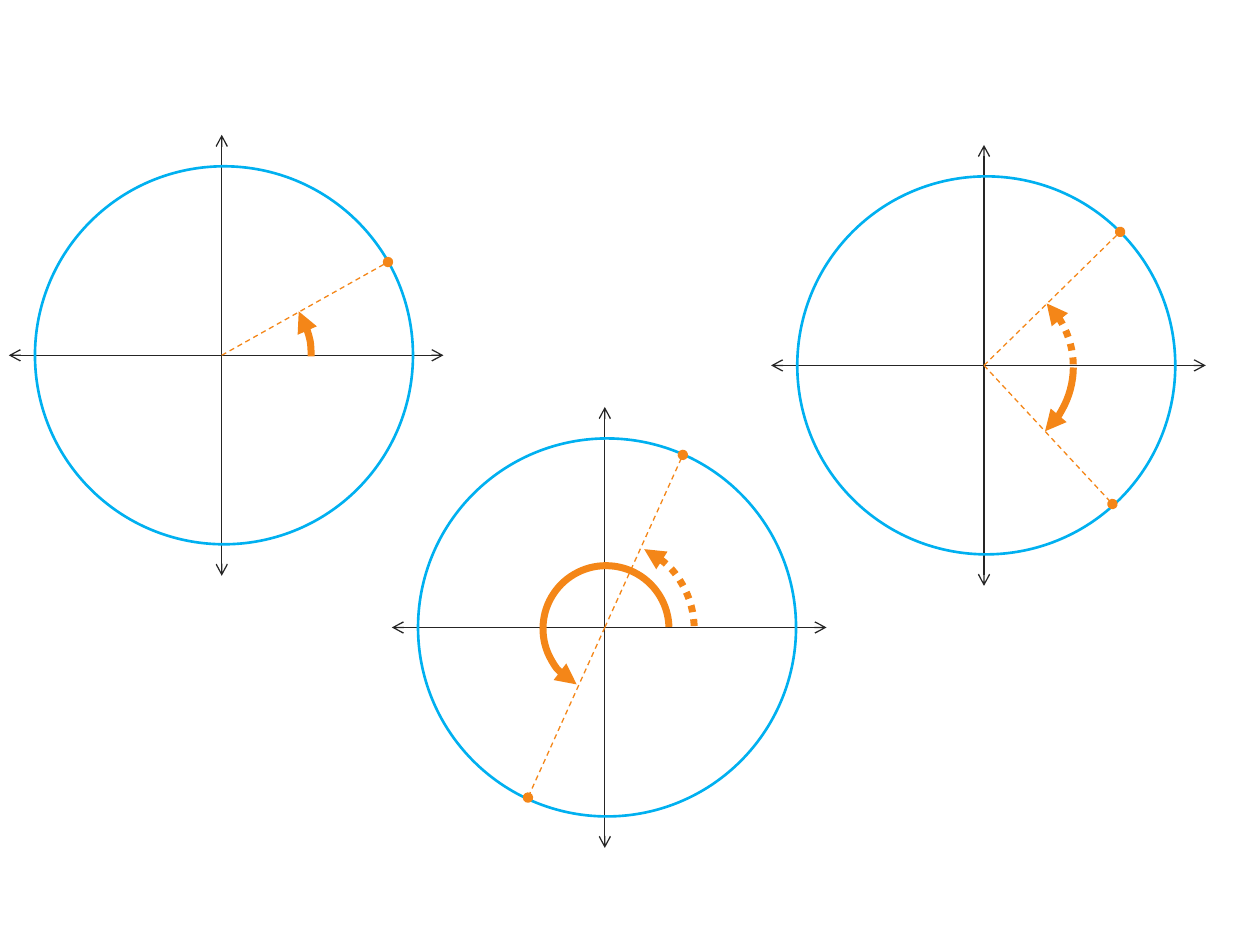
import pptx
import pptx.dml.color
import pptx.enum.dml
import pptx.enum.shapes
import pptx.oxml.ns
import pptx.util
from lxml import etree

Pt = pptx.util.Pt
DASH = pptx.enum.dml.MSO_LINE
KIND = pptx.enum.shapes.MSO_SHAPE

HUES = {"axis": "252525", "ring": "00B0F0", "turn": "F48618"}
LINES = {
    "axis": {"width": Pt(0.75)},
    "ring": {"width": Pt(1.5)},
    "ray": {"width": Pt(0.75), "dash_style": DASH.DASH},
    "arc": {"width": Pt(4)},
    "dots": {"width": Pt(4), "dash_style": DASH.ROUND_DOT},
}

# Each graph: origin, then its turns in drawing order.
# A turn: line style, arc radius, start and end degrees (clockwise from the
# right), arrow end, and the offset of the ray's point from the origin.
GRAPHS = [
    ((126.72, 203.04), [
        ("arc", 50.4, 329.26, 359.9, "head", (95, -53.3)),
    ]),
    ((562.3, 208.8), [
        ("dots", 50.4, 314.26, 359.9, "head", (77.8, -76.3)),
        ("arc", 50.4, 0.6, 47.22, "tail", (73.4, 79.2)),
    ]),
    ((345.6, 358.56), [
        ("dots", 50.4, 295.67, 359.9, "head", (44.6, -98.6)),
        ("arc", 36, 117.71, 358.44, "head", (-43.9, 97.2)),
    ]),
]
RING = 108
RING_X = 1.3    # the ring sits slightly right of the origin
ARC_GAP = 0.7   # the arcs sit slightly right of and below it
UP, RIGHT, LEFT = 126, 126.72, 121.68


def style(line, name, hue, **ends):
    """Format a line; ends maps head or tail to an arrow type."""
    line.color.rgb = pptx.dml.color.RGBColor.from_string(HUES[hue])
    for key, value in LINES[name].items():
        setattr(line, key, value)
    for end in ("head", "tail"):
        if end in ends:
            tag = pptx.oxml.ns.qn(f"a:{end}End")
            etree.SubElement(line._ln, tag, type=ends[end])


def add_line(group, start, end, name, hue, **ends):
    line = group.shapes.add_connector(
        pptx.enum.shapes.MSO_CONNECTOR.STRAIGHT,
        *(Pt(v) for v in (*start, *end)))
    style(line.line, name, hue, **ends)
    etree.SubElement(line._element.spPr, pptx.oxml.ns.qn("a:effectLst"))


def add_round(group, kind, x, y, size):
    """Add an unfilled round shape of the given radius about a centre."""
    shape = group.shapes.add_shape(
        kind, Pt(x - size), Pt(y - size), Pt(2 * size), Pt(2 * size))
    shape.shadow.inherit = False
    shape.fill.background()
    return shape


def add_arc(group, x, y, name, size, start, end, tip):
    arc = add_round(group, KIND.ARC, x + ARC_GAP, y + ARC_GAP, size)
    for i, angle in enumerate((start, end)):
        arc.adjustments[i] = angle * 0.6  # 60000ths of a degree / 100000
    style(arc.line, name, "turn", **{tip: "triangle"})


def add_graph(slide, x, y, turns):
    group = slide.shapes.add_group_shape()
    for start, end in (((x, y - UP), (x, y + UP)),
                       ((x + RIGHT, y), (x - LEFT, y))):
        add_line(group, start, end, "axis", "axis", head="arrow", tail="arrow")
    ring = add_round(group, KIND.OVAL, x + RING_X, y, RING)
    style(ring.line, "ring", "ring")
    for *arc, (dx, dy) in turns:
        add_arc(group, x, y, *arc)
        add_line(group, (x, y), (x + dx, y + dy), "ray", "turn", tail="oval")


def main():
    deck = pptx.Presentation()
    deck.slide_width, deck.slide_height = Pt(720), Pt(540)
    slide = deck.slides.add_slide(deck.slide_layouts[6])
    for (x, y), turns in GRAPHS:
        add_graph(slide, x, y, turns)
    deck.save("out.pptx")


if __name__ == "__main__":
    main()
